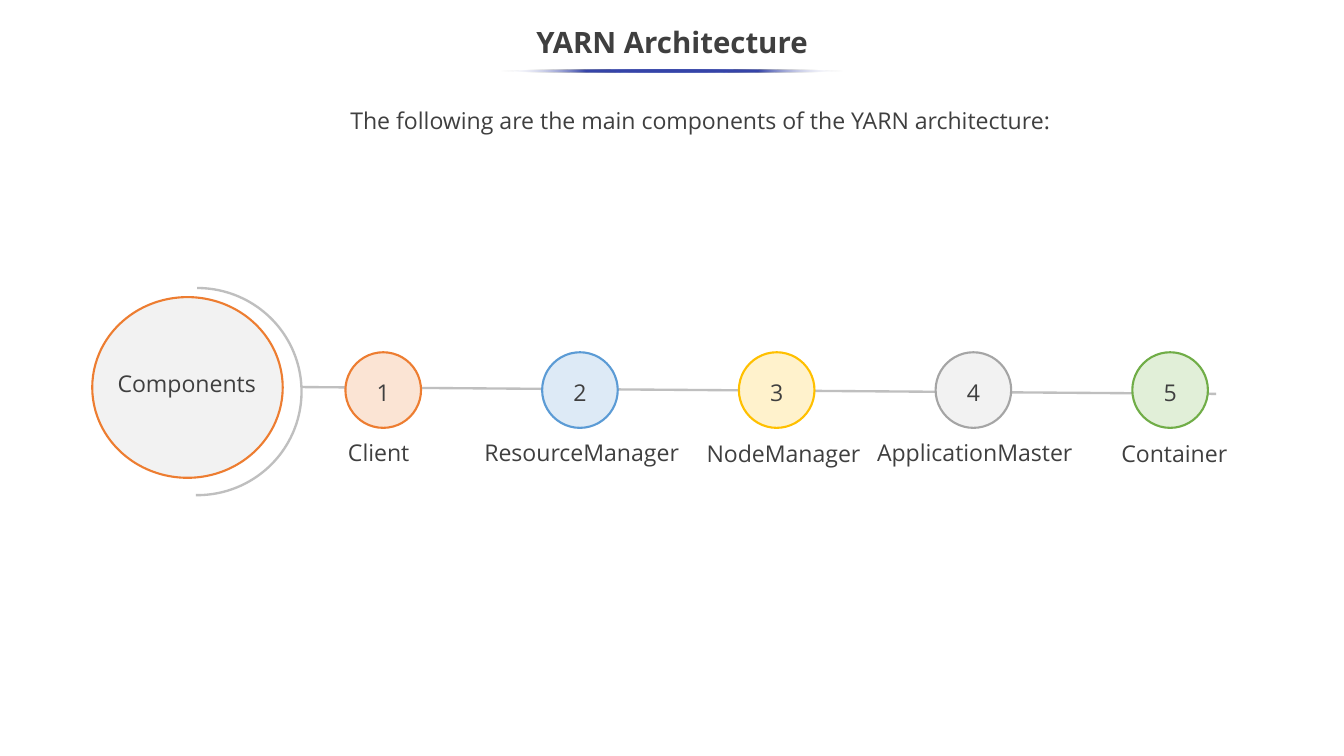
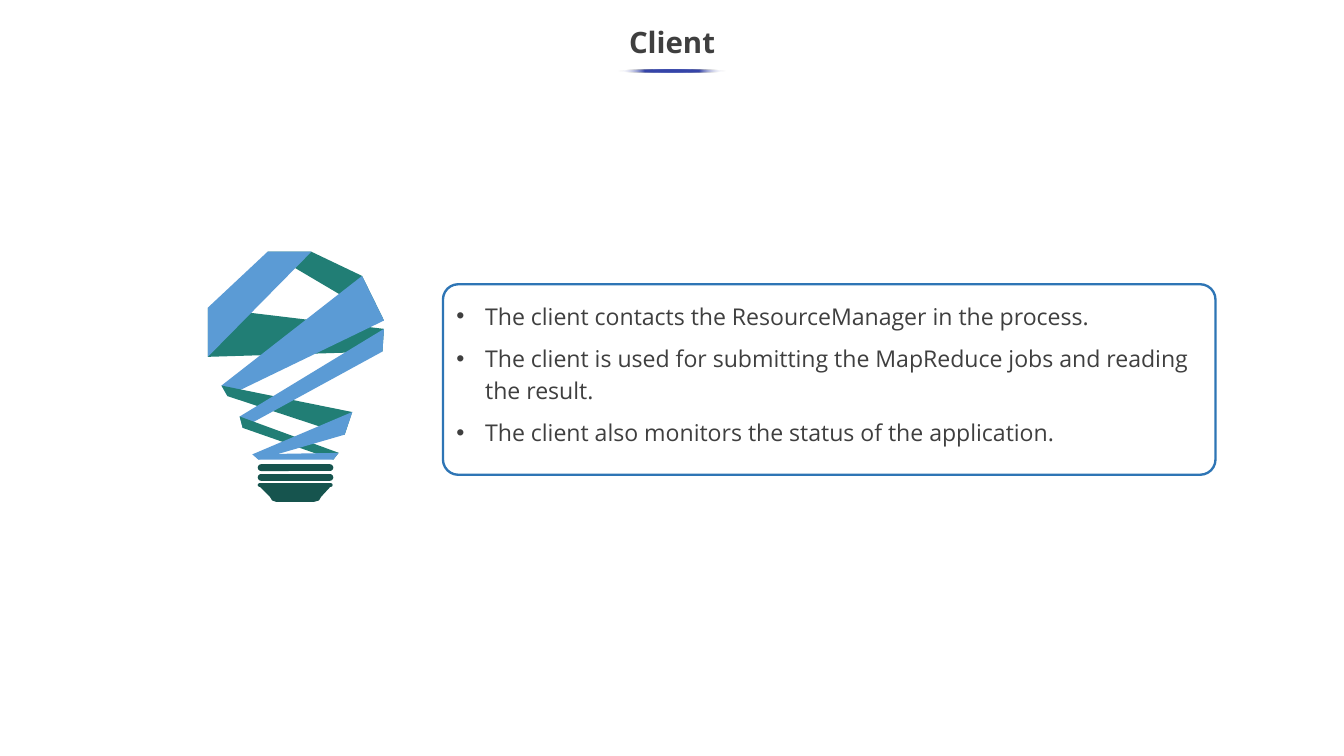
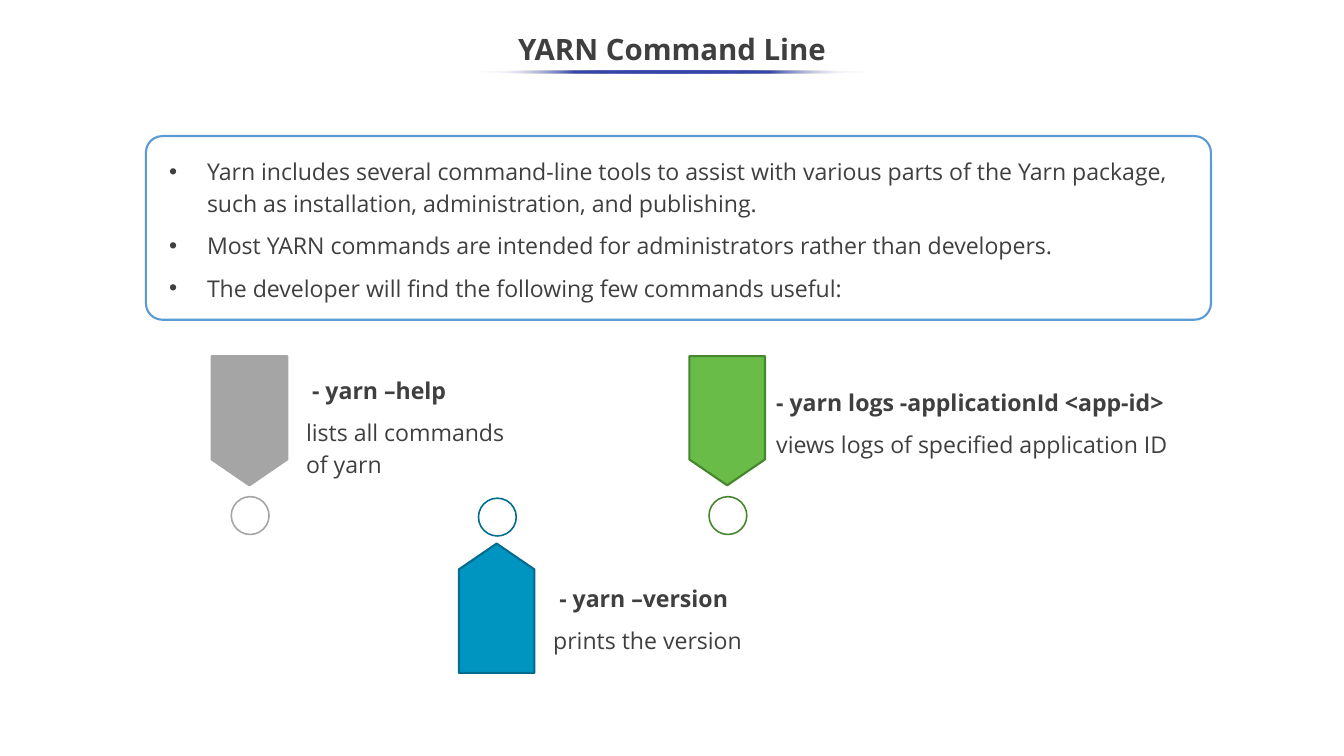
from lxml import etree
from pptx import Presentation
from pptx.dml.color import RGBColor
from pptx.enum.shapes import MSO_CONNECTOR, MSO_SHAPE
from pptx.enum.text import MSO_ANCHOR, PP_ALIGN
from pptx.oxml import parse_xml
from pptx.oxml.ns import nsdecls, qn
from pptx.util import Inches, Pt

LEFT, CENTER = PP_ALIGN.LEFT, PP_ALIGN.CENTER
TOP, MIDDLE = MSO_ANCHOR.TOP, MSO_ANCHOR.MIDDLE
ELLIPSE, ARC = MSO_SHAPE.OVAL, MSO_SHAPE.ARC
ROUNDED, CIRCLE = MSO_SHAPE.ROUNDED_RECTANGLE, MSO_SHAPE.FLOWCHART_CONNECTOR
TAG = MSO_SHAPE.FLOWCHART_OFFPAGE_CONNECTOR
STRAIGHT = MSO_CONNECTOR.STRAIGHT

COLORS = {
    "text": "3F3F3F", "white": "FFFFFF", "underline": "3645A9",
    "orange": "ED7D31", "pale orange": "FBE4D4",
    "blue": "5B9BD5", "pale blue": "DDEAF6", "deep blue": "2E75B5",
    "yellow": "FFC000", "pale yellow": "FFF2CC",
    "gray": "A5A5A5", "pale gray": "F2F2F2", "rule": "BFBFBF",
    "leaf": "70AD47", "pale leaf": "E1EFD8",
    "green": "68BC47", "dark green": "45862E",
    "cyan": "0095C1", "dark cyan": "006C8E",
    "teal": "217E75", "dark teal": "16544E",
}
BODY = {"name": "Open Sans", "size": Pt(22), "bold": False}
STRONG = {**BODY, "bold": True}
TITLE = {**STRONG, "size": Pt(28)}


def add_shape(slide, kind, box, fill=None, line=None, width=2):
    """Place a preset shape; a missing fill or line colour means none."""
    shape = slide.shapes.add_shape(kind, *map(Inches, box))
    shape.shadow.inherit = False
    if fill:
        shape.fill.solid()
        shape.fill.fore_color.rgb = RGBColor.from_string(COLORS[fill])
    else:
        shape.fill.background()
    if line:
        shape.line.color.rgb = RGBColor.from_string(COLORS[line])
        shape.line.width = Pt(width)
    else:
        shape.line.fill.background()
    return shape


def add_text(slide, box, lines, align=LEFT, anchor=TOP, hanging=0, shape=None):
    """Write (text, font format, left indent) lines into a shape or a new text box."""
    shape = shape or slide.shapes.add_textbox(*map(Inches, box))
    frame = shape.text_frame
    frame.word_wrap = True
    frame.vertical_anchor = anchor
    for index, (text, font_format, indent) in enumerate(lines):
        paragraph = frame.add_paragraph() if index else frame.paragraphs[0]
        properties = paragraph._p.get_or_add_pPr()
        if hanging:
            properties.set("marL", str(Inches(hanging)))
            properties.set("indent", str(-Inches(hanging)))
            color = etree.SubElement(properties, qn("a:buClr"))
            etree.SubElement(color, qn("a:srgbClr"), val=COLORS["text"])
            etree.SubElement(properties, qn("a:buFont"), typeface="Arial")
            etree.SubElement(properties, qn("a:buChar"), char="•")
        elif indent:
            properties.set("marL", str(Inches(indent)))
        paragraph.alignment = align
        paragraph.line_spacing = 1.15
        if index:
            paragraph.space_before = Pt(10)
        run = paragraph.add_run()
        run.text = text
        for name, value in font_format.items():
            setattr(run.font, name, value)
        run.font.color.rgb = RGBColor.from_string(COLORS["text"])


presentation = Presentation()
presentation.slide_width = Inches(17.78)
presentation.slide_height = Inches(10)

# Title and fading underline on every slide
slides = []
for title, title_top, underline_top, underline_width in [
    ("YARN Architecture", 0.14, 0.92, 4.54),
    ("Client", 0.14, 0.92, 1.42),
    ("YARN Command Line", 0.23, 0.93, 5.12),
]:
    slide = presentation.slides.add_slide(presentation.slide_layouts[6])
    slides.append(slide)
    add_text(slide, (0, title_top, 17.78, 0.75), [(title, TITLE, 0)], CENTER, MIDDLE)
    underline_left = (17.78 - underline_width) / 2
    underline = add_shape(
        slide, ELLIPSE, (underline_left, underline_top, underline_width, 0.04))
    stops = ""
    for position, color, alpha in [
        (0, "white", 0), (25, "underline", 100), (50, "underline", 100),
        (75, "underline", 100), (100, "white", 0),
    ]:
        stops += (f'<a:gs pos="{position * 1000}"><a:srgbClr val="{COLORS[color]}">'
                  f'<a:alpha val="{alpha * 1000}"/></a:srgbClr></a:gs>')
    no_fill = underline._element.spPr.find(qn("a:noFill"))
    no_fill.getparent().replace(no_fill, parse_xml(
        f'<a:gradFill {nsdecls("a")} rotWithShape="1"><a:gsLst>{stops}</a:gsLst>'
        '<a:lin ang="10800000" scaled="0"/></a:gradFill>'))

architecture, client, command_line = slides

# YARN Architecture: numbered components along a line
add_shape(architecture, ELLIPSE, (1.22, 3.93, 2.52, 2.39), "pale gray", "orange")
add_text(architecture, (1.31, 4.78, 2.32, 0.67), [("Components", BODY, 0)], CENTER)
arc = add_shape(architecture, ARC, (1.23, 3.81, 2.76, 2.74), None, "rule", 2.25)
arc.adjustments[0] = 162
arc.adjustments[1] = 54.48
rail = architecture.shapes.add_connector(
    STRAIGHT, *map(Inches, (3.99, 5.12, 16.09, 5.21)))
rail.line.color.rgb = RGBColor.from_string(COLORS["rule"])
rail.line.width = Pt(2.25)
etree.SubElement(rail._element.spPr, qn("a:effectLst"))

introduction = add_shape(architecture, ROUNDED, (4.35, 1.33, 9.83, 0.56), "white", "white")
introduction.text_frame.margin_top = Inches(0.39)
introduction.text_frame.margin_bottom = Inches(0.47)
add_text(architecture, None,
         [("The following are the main components of the YARN architecture:", BODY, 0)],
         CENTER, MIDDLE, shape=introduction)

components = [
    ("Client", "orange", 4.24, 5.7, 1.54),
    ("ResourceManager", "blue", 6.16, 5.7, 3.07),
    ("NodeManager", "yellow", 9.18, 5.71, 2.37),
    ("ApplicationMaster", "gray", 11.45, 5.7, 2.89),
    ("Container", "leaf", 14.61, 5.71, 1.85),
]
circle_step = (14.98 - 4.57) / (len(components) - 1)
for index, (name, color, left, top, width) in enumerate(components):
    circle = add_shape(architecture, CIRCLE, (4.57 + circle_step * index, 4.66, 1, 1),
                       f"pale {color}", color)
    add_text(architecture, None, [(str(index + 1), BODY, 0)], CENTER, MIDDLE, shape=circle)
    add_text(architecture, (left, top, width, 0.5), [(name, BODY, 0)], CENTER)

# Client: ribbon light bulb beside a framed list
frame = add_shape(client, ROUNDED, (5.86, 3.76, 10.22, 2.52), None, "deep blue", 2.25)
frame.adjustments[0] = 0.08
add_text(client, (5.94, 3.89, 10.17, 2.2), [
    ("The client contacts the ResourceManager in the process.", BODY, 0),
    ("The client is used for submitting the MapReduce jobs and reading the result.", BODY, 0),
    ("The client also monitors the status of the application.", BODY, 0),
], hanging=0.38)

for top, width, height in [(6.14, 1, 0.09), (6.27, 1, 0.09), (6.39, 0.99, 0.05)]:
    ring = add_shape(client, ROUNDED, (3.41, top, width, height), "dark teal")
    ring.adjustments[0] = 0.5

bulb_parts = [
    ("dark teal", [(3.44, 6.44), (3.57, 6.57), (3.6, 6.62), (3.66, 6.64), (4.15, 6.64),
                   (4.22, 6.62), (4.25, 6.57), (4.37, 6.44)]),
    ("teal", [(3.54, 3.33), (5.08, 4.24), (4.79, 3.65), (4.12, 3.33)]),
    ("teal", [(2.75, 4.07), (5.08, 4.35), (5.06, 4.65), (2.75, 4.72)]),
    ("blue", [(4.79, 3.65), (2.93, 5.1), (3.01, 5.24), (5.08, 4.24)]),
    ("teal", [(2.93, 5.1), (4.66, 5.45), (4.56, 5.75), (3.01, 5.24)]),
    ("blue", [(5.08, 4.35), (3.17, 5.51), (3.21, 5.66), (5.06, 4.65)]),
    ("teal", [(3.17, 5.51), (4.48, 5.99), (4.41, 6.08), (3.21, 5.66)]),
    ("blue", [(3.54, 3.33), (2.75, 4.07), (2.75, 4.72), (4.12, 3.33)]),
    ("blue", [(3.42, 6.08), (4.56, 5.75), (4.66, 5.45), (3.34, 6.01)]),
    ("blue", [(3.34, 6.01), (4.48, 5.99), (4.41, 6.08), (3.42, 6.08)]),
]
for color, corners in bulb_parts:
    points = [(Inches(x), Inches(y)) for x, y in corners]
    builder = client.shapes.build_freeform(*points[0])
    builder.add_line_segments(points[1:], close=True)
    part = builder.convert_to_shape()
    part.shadow.inherit = False
    part.fill.solid()
    part.fill.fore_color.rgb = RGBColor.from_string(COLORS[color])
    part.line.fill.background()

# YARN Command Line: framed list above three command tags
frame = add_shape(command_line, ROUNDED, (1.93, 1.8, 14.09, 2.43), None, "blue")
frame.adjustments[0] = 0.09
add_text(command_line, (2.14, 1.98, 14.09, 2.06), [
    ("Yarn includes several command-line tools to assist with various parts of the Yarn "
     "package, such as installation, administration, and publishing.", BODY, 0),
    ("Most YARN commands are intended for administrators rather than developers.", BODY, 0),
    ("The developer will find the following few commands useful:", BODY, 0),
], hanging=0.5)

commands = [
    ("- yarn –help", "lists all commands of yarn", 0.08, (3.95, 4.87, 3.12, 1.49),
     "gray", "gray", 2.8, 4.71, 6.57, 0),
    ("- yarn –version", "prints the version", 0.08, (7.22, 7.62, 3.09, 1.07),
     "cyan", "dark cyan", 6.07, 7.19, 6.59, 180),
    ("- yarn logs -applicationId <app-id>", "views logs of specified application ID", 0,
     (10.17, 5.03, 5.69, 1.12), "green", "dark green", 9.12, 4.71, 6.57, 0),
]
for command, meaning, indent, box, fill, line, left, tag_top, dot_top, rotation in commands:
    tag = add_shape(command_line, TAG, (left, tag_top, 1, 1.71), fill, line)
    tag.rotation = rotation
    add_shape(command_line, ELLIPSE, (left + 0.26, dot_top, 0.5, 0.5), "white", line, 1.5)
    add_text(command_line, box, [(command, STRONG, indent), (meaning, BODY, 0)])

presentation.save("out.pptx")
